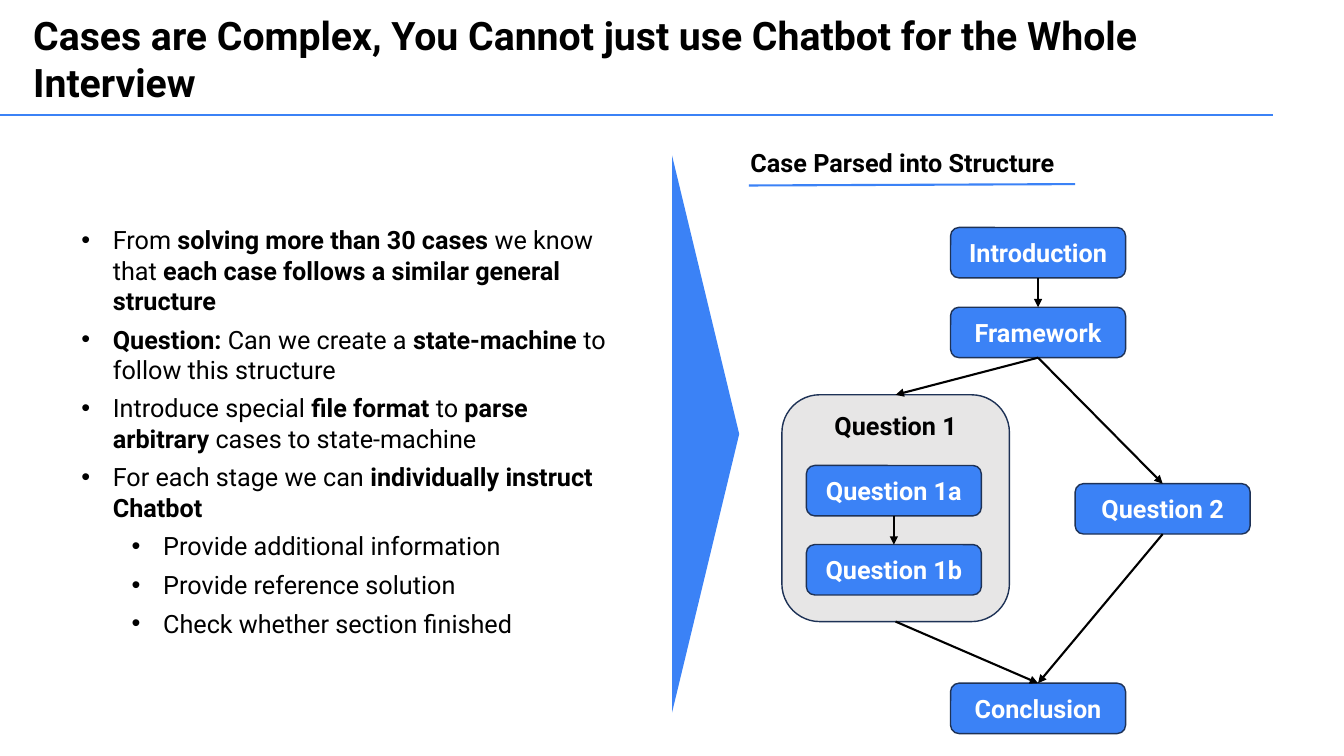
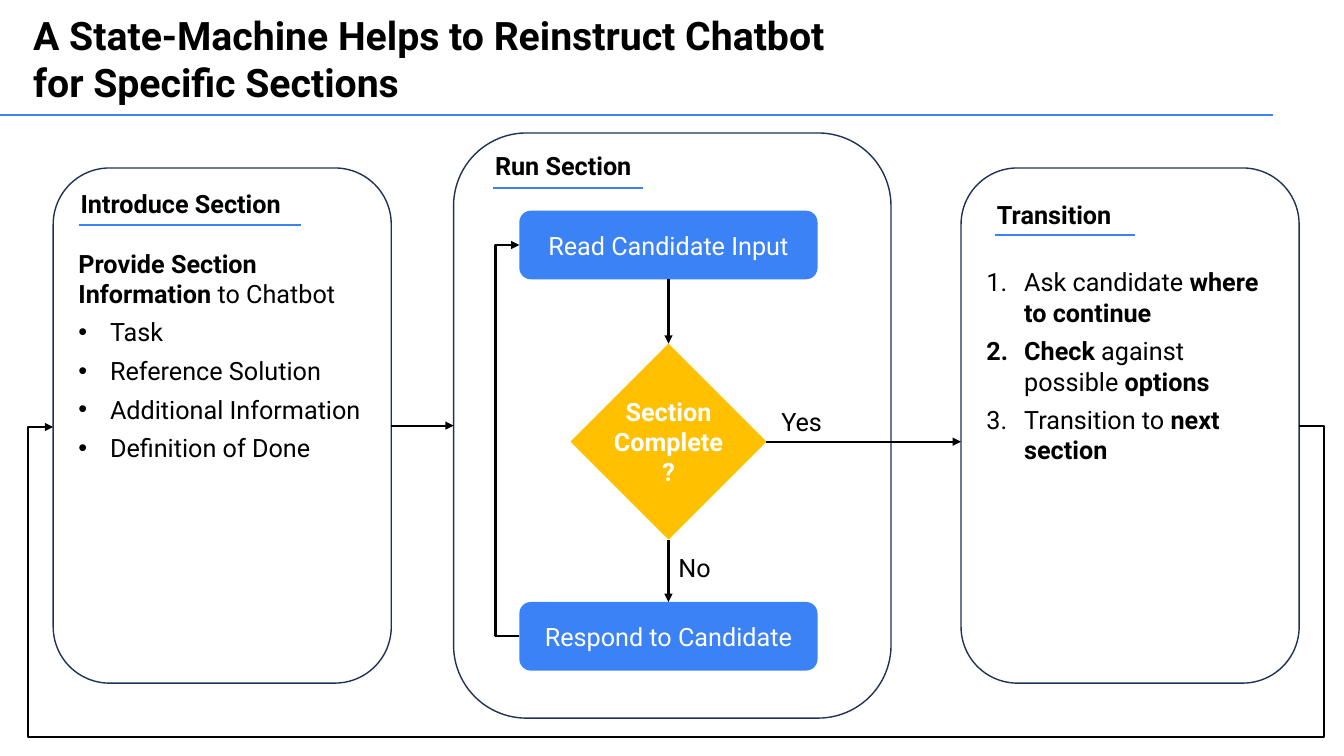
from dataclasses import dataclass

from lxml.etree import SubElement
from pptx import Presentation
from pptx.dml.color import RGBColor
from pptx.enum.shapes import MSO_CONNECTOR, MSO_SHAPE
from pptx.enum.text import MSO_ANCHOR, MSO_AUTO_SIZE, PP_ALIGN
from pptx.oxml.ns import qn
from pptx.presentation import Presentation as Deck
from pptx.shapes.autoshape import Shape
from pptx.shapes.connector import Connector
from pptx.slide import Slide
from pptx.text.text import TextFrame
from pptx.util import Pt


@dataclass(frozen=True)
class Theme:
    font: str = "Roboto"
    title: float = 28
    body: float = 18
    gap: float = 6
    stroke: float = 1.5
    outline: float = 1
    ink: RGBColor = RGBColor(0x00, 0x00, 0x00)
    white: RGBColor = RGBColor(0xFF, 0xFF, 0xFF)
    accent: RGBColor = RGBColor(0x3B, 0x82, 0xF6)
    border: RGBColor = RGBColor(0x1E, 0x32, 0x56)
    panel: RGBColor = RGBColor(0xE7, 0xE6, 0xE6)
    decision: RGBColor = RGBColor(0xFF, 0xC0, 0x00)


@dataclass(frozen=True)
class Box:
    x: float
    y: float
    w: float
    h: float


@dataclass(frozen=True)
class Node:
    text: str
    x: float
    y: float


@dataclass(frozen=True)
class Para:
    text: str
    bullet: str = ""
    indent: float = 0
    level: int = 0


@dataclass(frozen=True)
class Panel:
    box: Box
    heading: str
    x: float
    y: float
    rule_y: float
    rule_w: float


T = Theme()
TOP, LEFT, BOTTOM, RIGHT = range(4)
NODE_W, NODE_H = 125, 36
HEADING_INSET = 6

NODES = [
    Node("Introduction", 679, 162.5),
    Node("Framework", 679, 219.5),
    Node("Question 1a", 576, 332.5),
    Node("Question 1b", 576, 389),
    Node("Question 2", 768, 345.5),
    Node("Conclusion", 679, 488),
]

CASE_POINTS = [
    Para("From *solving more than 30 cases *we know that "
         "*each case follows a similar general structure*", "•", 22.5),
    Para("*Question: *Can we create a *state-machine *to follow this structure", "•", 22.5),
    Para("Introduce special *file format *to *parse arbitrary* cases to state-machine", "•", 22.5),
    Para("For each stage we can *individually instruct Chatbot*", "•", 22.5),
    Para("Provide additional information", "•", 22.5, 1),
    Para("Provide reference solution", "•", 22.5, 1),
    Para("Check whether section finished", "•", 22.5, 1),
]

INTRO_POINTS = [Para("*Provide Section Information *to Chatbot")] + [
    Para(text, "•", 22.5)
    for text in ("Task", "Reference Solution", "Additional Information", "Definition of Done")
]

TRANSITION_POINTS = [
    Para("Ask candidate *where to continue*", "1.", 27),
    Para("*Check* against possible *options*", "1.", 27),
    Para("Transition to *next section*", "1.", 27),
]

PANELS = [
    Panel(Box(38, 120, 241.5, 368), "Introduce Section", 50.5, 131, 161, 158.5),
    Panel(Box(324, 95, 312.5, 418), "Run Section", 346.5, 104, 134, 107),
    Panel(Box(686.5, 120, 241.5, 368), "Transition", 705, 138.5, 168, 100),
]


def style_frame(tf: TextFrame, size: float, color: RGBColor,
                bold: bool | None = None, align: PP_ALIGN = PP_ALIGN.LEFT) -> None:
    for p in tf.paragraphs:
        p.alignment = align
        for r in p.runs:
            r.font.name, r.font.size = T.font, Pt(size)
            r.font.color.rgb = color
            if bold is not None:
                r.font.bold = bold


def add_frame(s: Slide, box: Box) -> TextFrame:
    tf = s.shapes.add_textbox(Pt(box.x), Pt(box.y), Pt(box.w), Pt(box.h)).text_frame
    tf.word_wrap = True
    return tf


def add_label(s: Slide, text: str, box: Box, color: RGBColor = T.ink,
              bold: bool = True, align: PP_ALIGN = PP_ALIGN.LEFT) -> None:
    tf = add_frame(s, box)
    tf.text = text
    style_frame(tf, T.body, color, bold, align)


def add_paragraphs(s: Slide, paras: list[Para], box: Box) -> None:
    tf = add_frame(s, box)
    for i, para in enumerate(paras):
        p = tf.add_paragraph() if i else tf.paragraphs[0]
        p.level = para.level
        if para.bullet:
            pPr = p._p.get_or_add_pPr()
            pPr.set("marL", str(Pt(para.indent + 36 * para.level)))
            pPr.set("indent", str(-Pt(para.indent)))
            if para.bullet == "•":
                SubElement(pPr, qn("a:buFont")).set("typeface", "Arial")
                SubElement(pPr, qn("a:buChar")).set("char", para.bullet)
            else:
                SubElement(pPr, qn("a:buAutoNum")).set("type", "arabicPeriod")
        if i:
            p.space_before = Pt(T.gap)
        for j, part in enumerate(para.text.split("*")):
            if part:
                r = p.add_run()
                r.text = part
                r.font.bold = j % 2 == 1
    style_frame(tf, T.body, T.ink)


def add_box(s: Slide, kind: MSO_SHAPE, box: Box, fill: RGBColor | None = None,
            line: RGBColor | None = None, text: str = "", color: RGBColor = T.white,
            bold: bool = True, anchor: MSO_ANCHOR = MSO_ANCHOR.MIDDLE) -> Shape:
    sp = s.shapes.add_shape(kind, Pt(box.x), Pt(box.y), Pt(box.w), Pt(box.h))
    sp.shadow.inherit = False
    if fill is None:
        sp.fill.background()
    else:
        sp.fill.solid()
        sp.fill.fore_color.rgb = fill
    if line is None:
        sp.line.fill.background()
    else:
        sp.line.color.rgb = line
        sp.line.width = Pt(T.outline)
    if text:
        tf = sp.text_frame
        tf.text = text
        tf.vertical_anchor = anchor
        style_frame(tf, T.body, color, bold, PP_ALIGN.CENTER)
    return sp


def style_stroke(sp: Shape | Connector, color: RGBColor, arrow: bool) -> None:
    sp.line.color.rgb = color
    sp.line.width = Pt(T.stroke)
    if arrow:
        SubElement(sp._element.spPr.find(qn("a:ln")), qn("a:tailEnd")).set("type", "triangle")


def add_line(s: Slide, x1: float, y1: float, x2: float, y2: float,
             color: RGBColor = T.accent, arrow: bool = False) -> Connector:
    cxn = s.shapes.add_connector(MSO_CONNECTOR.STRAIGHT, Pt(x1), Pt(y1), Pt(x2), Pt(y2))
    style_stroke(cxn, color, arrow)
    SubElement(cxn._element.spPr, qn("a:effectLst"))
    return cxn


def link(s: Slide, start: Shape, start_site: int, end: Shape, end_site: int) -> None:
    cxn = add_line(s, 0, 0, 0, 0, T.ink, True)
    cxn.begin_connect(start, start_site)
    cxn.end_connect(end, end_site)


def add_loop(s: Slide, points: list[tuple[float, float]]) -> None:
    start, *rest = [(Pt(x), Pt(y)) for x, y in points]
    builder = s.shapes.build_freeform(*start)
    builder.add_line_segments(rest, close=False)
    sp = builder.convert_to_shape()
    sp.fill.background()
    style_stroke(sp, T.ink, True)
    sp.shadow.inherit = False


def add_titled_slide(prs: Deck, title: str) -> Slide:
    s = prs.slides.add_slide(prs.slide_layouts[5])
    add_line(s, 0, 82, 909.5, 82)
    sp = s.shapes.title
    sp.left, sp.top, sp.width, sp.height = Pt(16.5), Pt(4.5), Pt(818), Pt(75)
    tf = sp.text_frame
    tf.text = title
    tf.word_wrap = True
    tf.auto_size = MSO_AUTO_SIZE.NONE
    tf.vertical_anchor = MSO_ANCHOR.TOP
    style_frame(tf, T.title, T.ink, True)
    return s


def build_case_slide(prs: Deck) -> None:
    s = add_titled_slide(
        prs, "Cases are Complex, You Cannot just use Chatbot for the Whole Interview")
    add_paragraphs(s, CASE_POINTS, Box(51, 157, 398, 305))
    wedge = add_box(s, MSO_SHAPE.ISOSCELES_TRIANGLE, Box(305, 286, 398, 48), T.accent)
    wedge.rotation = 90
    group = add_box(s, MSO_SHAPE.ROUNDED_RECTANGLE, Box(558.5, 282, 162.5, 162), T.panel,
                    T.border, "Question 1", T.ink, anchor=MSO_ANCHOR.TOP)
    intro, frame, q1a, q1b, q2, end = [
        add_box(s, MSO_SHAPE.ROUNDED_RECTANGLE, Box(n.x, n.y, NODE_W, NODE_H),
                T.accent, T.border, n.text)
        for n in NODES
    ]
    for a, b in [(intro, frame), (frame, q2), (frame, group),
                 (group, end), (q2, end), (q1a, q1b)]:
        link(s, a, BOTTOM, b, TOP)
    add_label(s, "Case Parsed into Structure", Box(529, 102, 405, 29))
    add_line(s, 535, 132.5, 768, 131.5)


def build_machine_slide(prs: Deck) -> None:
    s = add_titled_slide(
        prs, "A State-Machine Helps to Reinstruct Chatbot\vfor Specific Sections")
    frames = []
    for panel in PANELS:
        frames.append(add_box(s, MSO_SHAPE.ROUNDED_RECTANGLE, panel.box, line=T.border))
        add_label(s, panel.heading, Box(panel.x, panel.y, 218, 29))
        rule_x = panel.x + HEADING_INSET
        add_line(s, rule_x, panel.rule_y, rule_x + panel.rule_w, panel.rule_y)
    add_paragraphs(s, INTRO_POINTS, Box(49, 173.5, 219, 163))
    add_paragraphs(s, TRANSITION_POINTS, Box(697.5, 187, 219, 150))

    read, respond = [
        add_box(s, MSO_SHAPE.ROUNDED_RECTANGLE, Box(371, y, 213, 49), T.accent,
                text=text, bold=False)
        for text, y in [("Read Candidate Input", 150.5), ("Respond to Candidate", 430)]
    ]
    check = add_box(s, MSO_SHAPE.DIAMOND, Box(407.5, 245.5, 140, 140), T.decision)
    add_label(s, "Section Complete?", Box(427, 279.5, 101, 73), T.white, align=PP_ALIGN.CENTER)

    link(s, frames[0], RIGHT, frames[1], LEFT)
    link(s, read, BOTTOM, check, TOP)
    link(s, check, BOTTOM, respond, TOP)
    add_line(s, 547.5, 315.5, 686.5, 315.5, T.ink, True)
    add_label(s, "No", Box(477.5, 391, 51, 29), bold=False)
    add_label(s, "Yes", Box(551, 286.5, 51, 29), bold=False)
    add_loop(s, [(371, 454.5), (354, 454.5), (354, 175), (371, 175)])
    add_loop(s, [(928, 304), (945.5, 304), (945.5, 526.5), (20, 526.5), (20, 305), (38, 305)])


def main() -> None:
    prs = Presentation()
    prs.slide_width, prs.slide_height = Pt(960), Pt(540)
    build_case_slide(prs)
    build_machine_slide(prs)
    prs.save("out.pptx")


if __name__ == "__main__":
    main()
